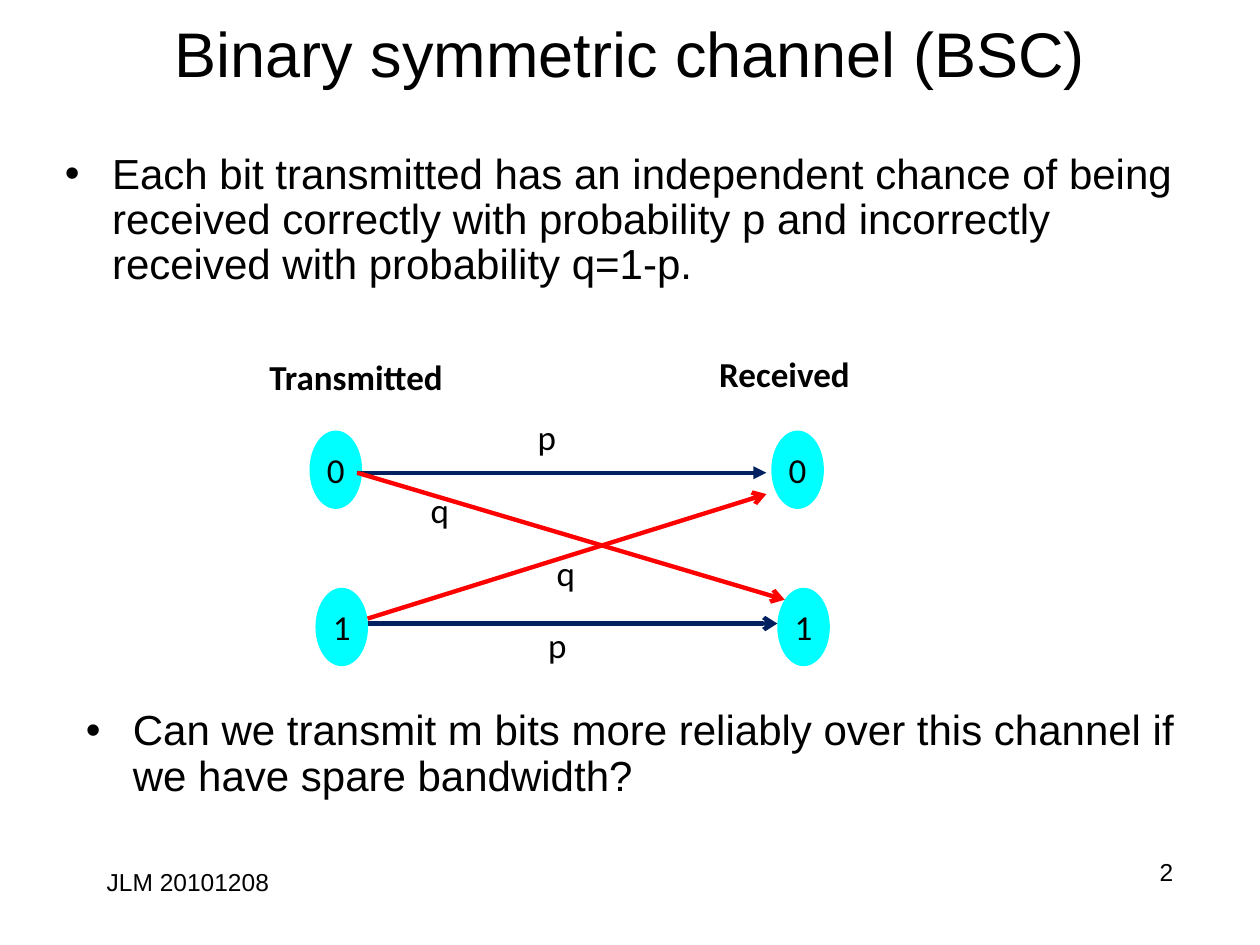
"""Build a slide that explains the binary symmetric channel."""
from typing import NamedTuple

from lxml.etree import SubElement
from pptx import Presentation
from pptx.dml.color import RGBColor
from pptx.enum.shapes import MSO_CONNECTOR as Connector, MSO_SHAPE as Shape
from pptx.enum.text import MSO_ANCHOR as Anchor, PP_ALIGN as Align
from pptx.oxml.ns import qn
from pptx.slide import Slide
from pptx.text.text import TextFrame
from pptx.util import Cm, Pt

BLACK = RGBColor(0x00, 0x00, 0x00)
CYAN = RGBColor(0x00, 0xFF, 0xFF)
NAVY = RGBColor(0x00, 0x20, 0x60)
RED = RGBColor(0xFF, 0x00, 0x00)

NODE_WIDTH, NODE_HEIGHT = 1.06, 1.58
SENDER_TO_RECEIVER = 9.31
LABEL_HEIGHT = 1.12
BULLET_INDENT = 0.95


class Caption(NamedTuple):
    text: str
    left: float
    top: float
    width: float
    height: float
    size: int
    font: str = "Arial"
    align: Align = Align.LEFT
    anchor: Anchor = Anchor.TOP
    bold: bool = False
    wrap: bool = True
    bullet: bool = False


class Bit(NamedTuple):
    text: str
    left: float
    top: float


class Path(NamedTuple):
    start: tuple[float, float]
    end: tuple[float, float]
    color: RGBColor
    head: str = "arrow"


def diagram_label(text: str, left: float, top: float, width: float, bold: bool = False) -> Caption:
    return Caption(text, left, top, width, LABEL_HEIGHT, 20, "Calibri", bold=bold, wrap=False)


CAPTIONS = [
    Caption("2", 18.62, 17.15, 5.28, 1.27, 14, align=Align.RIGHT),
    Caption("Binary symmetric channel (BSC)", 1.9, 0, 21.6, 2.12, 36,
            align=Align.CENTER, anchor=Anchor.MIDDLE),
    Caption("Each bit transmitted has an independent chance of being received correctly "
            "with probability p and incorrectly received with probability q=1-p.",
            1.06, 2.96, 23.7, 2.75, 24, bullet=True),
    Caption("JLM 20101208", 1.9, 17.36, 5.28, 1.27, 14),
    diagram_label("Transmitted", 5.18, 7.04, 4.06, bold=True),
    diagram_label("Received", 14.25, 6.98, 3.33, bold=True),
    diagram_label("p", 10.59, 8.26, 0.89),
    diagram_label("p", 10.8, 12.45, 0.89),
    diagram_label("q", 8.43, 9.73, 0.89),
    diagram_label("q", 10.97, 11, 0.89),
    Caption("Can we transmit m bits more reliably over this channel if we have spare bandwidth?",
            1.48, 14.18, 23.07, 2.54, 24, bullet=True),
]
BITS = [Bit("0", 6.24, 8.68), Bit("1", 6.36, 11.85)]
PATHS = [
    Path((7.2, 9.53), (15.45, 9.53), NAVY, "triangle"),
    Path((7.41, 12.57), (15.67, 12.57), NAVY),
    Path((7.2, 9.53), (15.82, 12.09), RED),
    Path((7.41, 12.47), (15.45, 9.96), RED),
]


def write(frame: TextFrame, text: str, size: int, font: str, align: Align, bold: bool = False) -> None:
    frame.text = text
    paragraph = frame.paragraphs[0]
    paragraph.alignment = align
    run_font = paragraph.runs[0].font
    run_font.name, run_font.size, run_font.bold = font, Pt(size), bold
    run_font.color.rgb = BLACK


def add_caption(slide: Slide, caption: Caption) -> None:
    box = slide.shapes.add_textbox(Cm(caption.left), Cm(caption.top), Cm(caption.width), Cm(caption.height))
    frame = box.text_frame
    frame.word_wrap = caption.wrap
    frame.vertical_anchor = caption.anchor
    write(frame, caption.text, caption.size, caption.font, caption.align, caption.bold)
    if caption.bullet:
        paragraph = frame.paragraphs[0]
        paragraph.line_spacing = 0.9
        properties = paragraph._p.get_or_add_pPr()
        properties.set("marL", str(Cm(BULLET_INDENT)))
        properties.set("indent", str(-Cm(BULLET_INDENT)))
        SubElement(properties, qn("a:buFont"), typeface="Arial")
        SubElement(properties, qn("a:buChar"), char="•")


def add_bit(slide: Slide, bit: Bit) -> None:
    node = slide.shapes.add_shape(Shape.OVAL, Cm(bit.left), Cm(bit.top), Cm(NODE_WIDTH), Cm(NODE_HEIGHT))
    node.shadow.inherit = False
    node.fill.solid()
    node.fill.fore_color.rgb = CYAN
    node.line.fill.background()
    frame = node.text_frame
    frame.margin_left = frame.margin_right = frame.margin_top = frame.margin_bottom = 0
    frame.word_wrap = False
    frame.vertical_anchor = Anchor.MIDDLE
    write(frame, bit.text, 20, "Calibri", Align.CENTER)


def add_path(slide: Slide, path: Path) -> None:
    arrow = slide.shapes.add_connector(Connector.STRAIGHT, *map(Cm, path.start + path.end))
    arrow.line.color.rgb = path.color
    arrow.line.width = Pt(2.5)
    SubElement(arrow.line._get_or_add_ln(), qn("a:tailEnd"), type=path.head)
    SubElement(arrow._element.spPr, qn("a:effectLst"))


def main() -> None:
    deck = Presentation()
    deck.slide_width, deck.slide_height = Cm(25.4), Cm(19.05)
    slide = deck.slides.add_slide(deck.slide_layouts[6])
    for bit in BITS:
        add_bit(slide, bit)
        add_bit(slide, bit._replace(left=bit.left + SENDER_TO_RECEIVER))
    for path in PATHS:
        add_path(slide, path)
    for caption in CAPTIONS:
        add_caption(slide, caption)
    deck.save("out.pptx")


if __name__ == "__main__":
    main()
